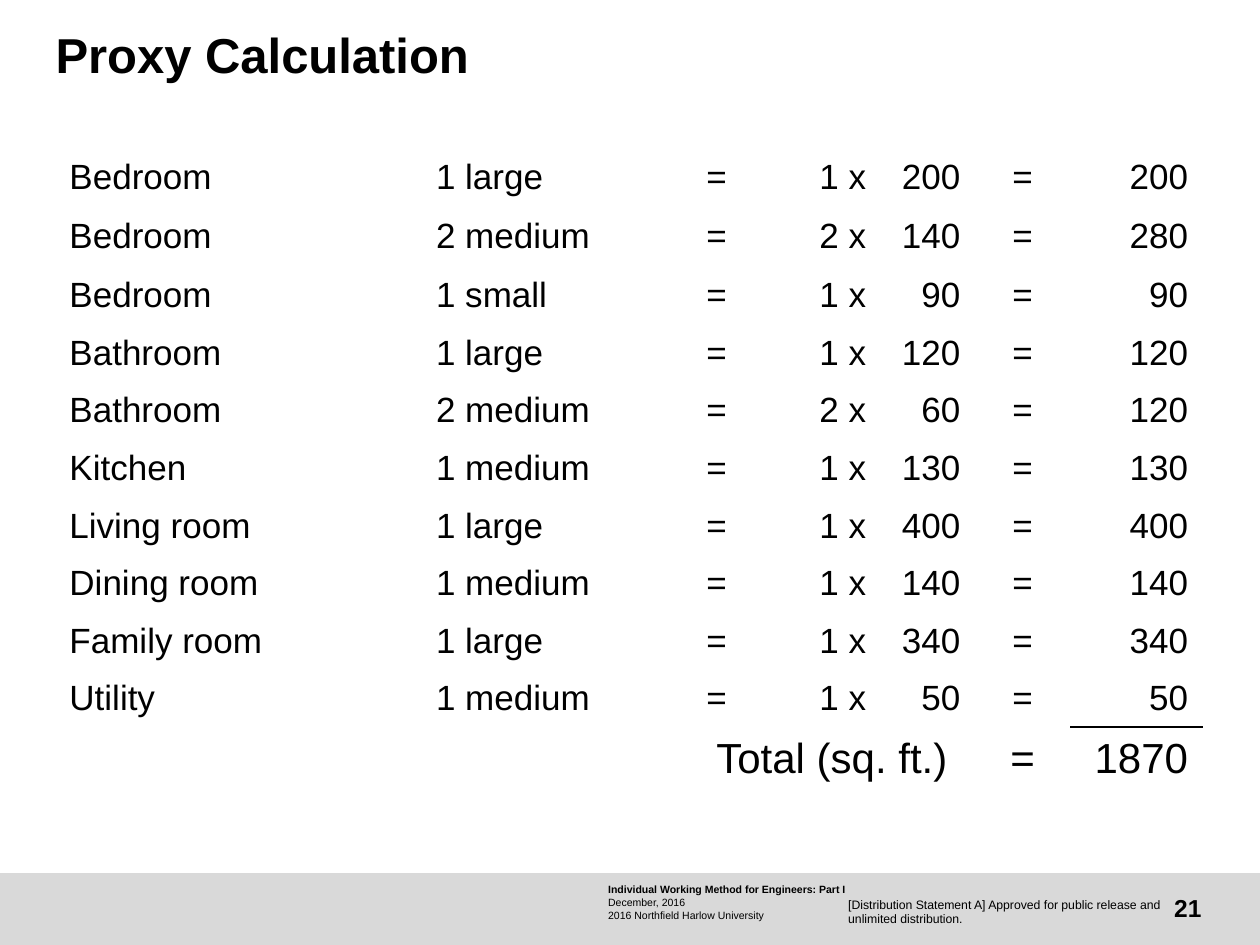
from lxml.etree import SubElement
from pptx import Presentation
from pptx.dml.color import RGBColor
from pptx.enum.shapes import MSO_SHAPE
from pptx.enum.text import MSO_ANCHOR, PP_ALIGN
from pptx.oxml import parse_xml
from pptx.oxml.ns import nsdecls
from pptx.util import Cm, Pt

BLACK = RGBColor(0x00, 0x00, 0x00)
FOOTER_GREY = RGBColor(0xD9, 0xD9, 0xD9)
LEFT, CENTER, RIGHT = PP_ALIGN.LEFT, PP_ALIGN.CENTER, PP_ALIGN.RIGHT


def write(paragraph, text, size, bold=False, align=LEFT):
    paragraph.alignment = align
    run = paragraph.add_run()
    run.text = text
    run.font.name = "Arial"
    run.font.size = Pt(size)
    run.font.bold = bold
    run.font.color.rgb = BLACK


def add_frame(left, top, width, height, anchor=MSO_ANCHOR.TOP):
    box = slide.shapes.add_textbox(Cm(left), Cm(top), Cm(width), Cm(height))
    frame = box.text_frame
    frame.word_wrap = True
    frame.vertical_anchor = anchor
    frame.margin_left = frame.margin_right = Cm(0)
    frame.margin_top = frame.margin_bottom = Cm(0)
    return frame


presentation = Presentation()
presentation.slide_width, presentation.slide_height = Cm(25.4), Cm(19.05)
slide = presentation.slides.add_slide(presentation.slide_layouts[6])

# Footer band
band = slide.shapes.add_shape(MSO_SHAPE.RECTANGLE, Cm(0), Cm(17.6), Cm(25.4), Cm(1.45))
band.shadow.inherit = False
band.fill.solid()
band.fill.fore_color.rgb = FOOTER_GREY
band.line.fill.background()

# Footer texts
course = add_frame(12.26, 17.81, 5.61, 0.76)
write(course.paragraphs[0], "Individual Working Method for Engineers: Part I", 6, bold=True)
for line in ("December, 2016", "2016 Northfield Harlow University"):
    write(course.add_paragraph(), line, 6)

page_number = add_frame(22.8, 17.78, 1.42, 1.02, MSO_ANCHOR.MIDDLE)
write(page_number.paragraphs[0], "21", 14, bold=True, align=RIGHT)

distribution = add_frame(17.1, 18.08, 6.45, 0.61)
write(distribution.paragraphs[0],
      "[Distribution Statement A] Approved for public release and unlimited distribution.", 7)

# Title
title = add_frame(1.12, 0.62, 21.1, 1.85)
title.paragraphs[0].line_spacing = 0.9
write(title.paragraphs[0], "Proxy Calculation", 28, bold=True)

# Rooms: name, count, size, square feet each
rooms = [
    ("Bedroom", 1, "large", 200),
    ("Bedroom", 2, "medium", 140),
    ("Bedroom", 1, "small", 90),
    ("Bathroom", 1, "large", 120),
    ("Bathroom", 2, "medium", 60),
    ("Kitchen", 1, "medium", 130),
    ("Living room", 1, "large", 400),
    ("Dining room", 1, "medium", 140),
    ("Family room", 1, "large", 340),
    ("Utility", 1, "medium", 50),
]
total = sum(count * area for _, count, _, area in rooms)
column_widths = [7.39, 5.39, 1.09, 2.75, 1.9, 1.95, 2.64]
alignments = [LEFT, LEFT, CENTER, RIGHT, RIGHT, CENTER, RIGHT]
row_heights = [1.16, 1.22] + [1.16] * 8 + [1.27]
total_row = len(rooms)

# Calculation table
calculation = slide.shapes.add_table(
    len(row_heights), len(column_widths), Cm(1.12), Cm(3),
    Cm(sum(column_widths)), Cm(sum(row_heights))).table
calculation.first_row = False
calculation.horz_banding = False
for column, width in zip(calculation.columns, column_widths):
    column.width = Cm(width)
for row, height in zip(calculation.rows, row_heights):
    row.height = Cm(height)
for cell in calculation.iter_cells():
    cell.fill.background()
    cell.vertical_anchor = MSO_ANCHOR.MIDDLE
    cell.margin_left = cell.margin_right = Cm(0.28)
    cell.margin_top = cell.margin_bottom = Cm(0.13)

# One row per room
for r, (name, count, size, area) in enumerate(rooms):
    values = [name, f"{count} {size}", "=", f"{count} x", str(area), "=", str(count * area)]
    for c, (value, align) in enumerate(zip(values, alignments)):
        write(calculation.cell(r, c).text_frame.paragraphs[0], value, 20, align=align)

# Total row
calculation.cell(total_row, 2).merge(calculation.cell(total_row, 4))
for c, value, align in [(2, "Total (sq. ft.)", CENTER), (5, "=", CENTER), (6, str(total), RIGHT)]:
    write(calculation.cell(total_row, c).text_frame.paragraphs[0], value, 24, align=align)

# Sum line between the last room and the total
for r, side in [(total_row - 1, "lnB"), (total_row, "lnT")]:
    border = parse_xml(f'<a:{side} {nsdecls("a")} w="{Pt(1)}"/>')
    fill = SubElement(border, border.tag.replace(side, "solidFill"))
    SubElement(fill, border.tag.replace(side, "srgbClr"), val=str(BLACK))
    calculation.cell(r, 6)._tc.get_or_add_tcPr().insert(0, border)

presentation.save("out.pptx")
